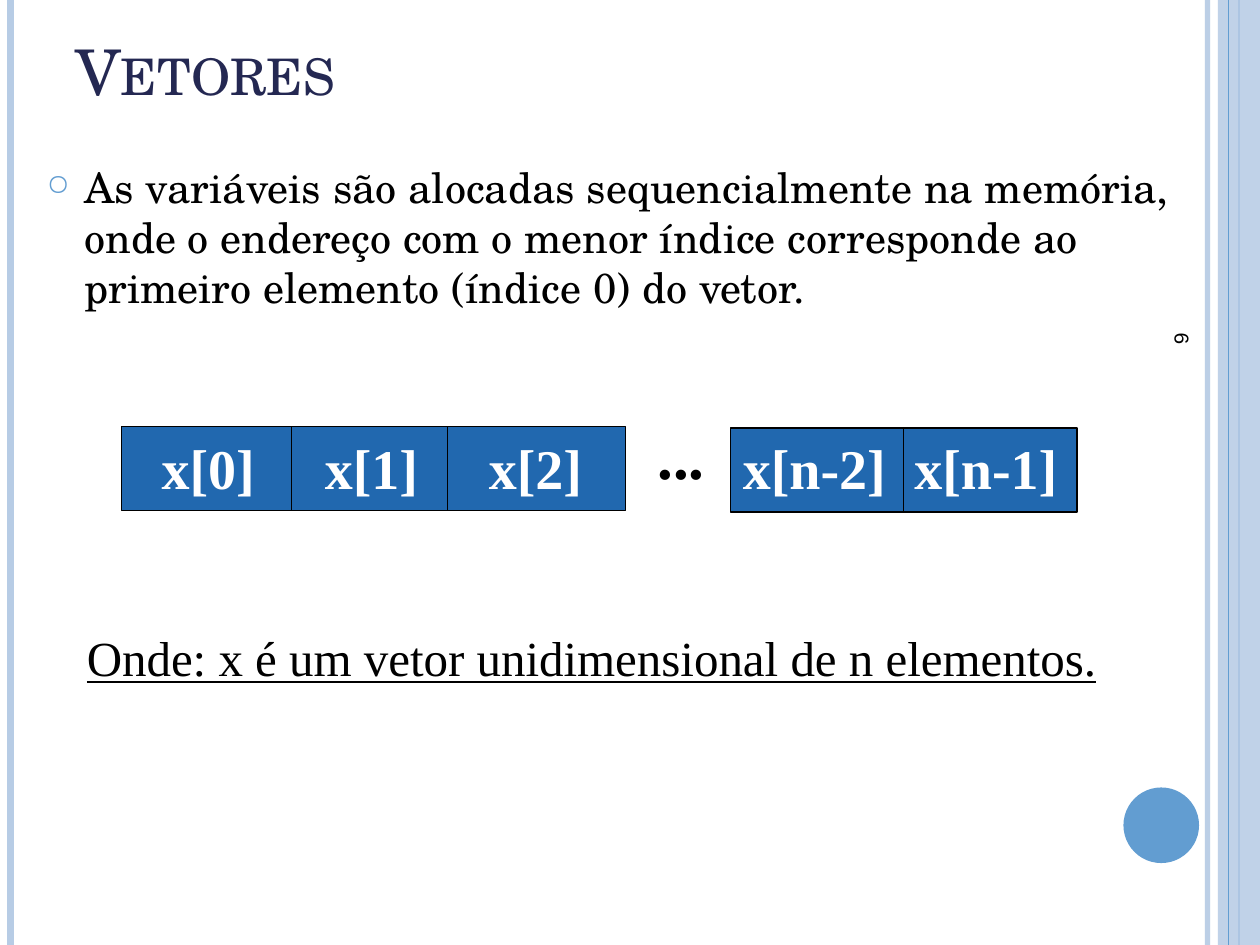
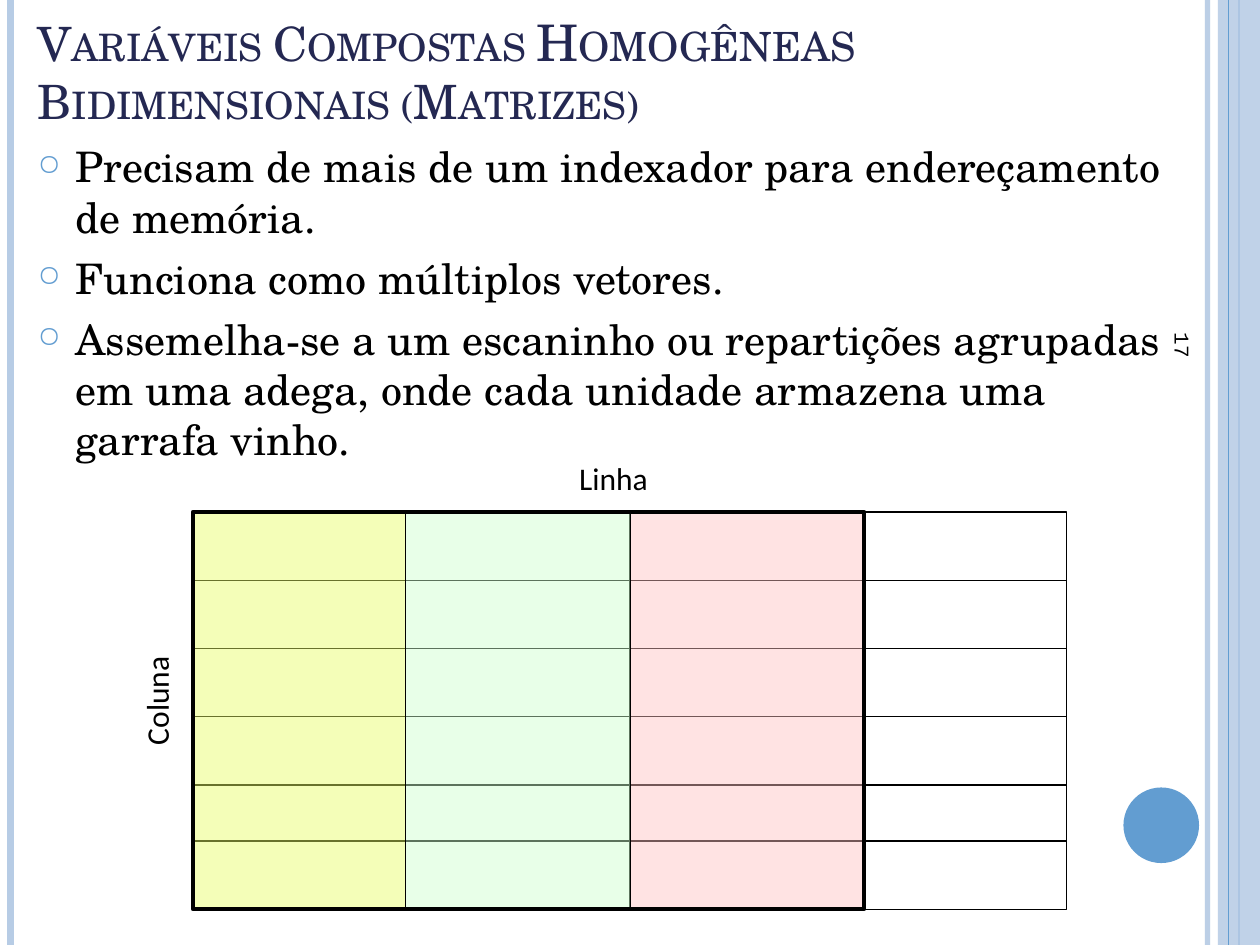
from dataclasses import dataclass
from itertools import accumulate

from lxml import etree
from pptx import Presentation
from pptx.dml.color import RGBColor
from pptx.enum.shapes import MSO_CONNECTOR, MSO_SHAPE
from pptx.enum.text import MSO_ANCHOR, PP_ALIGN
from pptx.oxml.ns import qn
from pptx.util import Pt

RECT, OVAL = MSO_SHAPE.RECTANGLE, MSO_SHAPE.OVAL
STRAIGHT = MSO_CONNECTOR.STRAIGHT
TOP, MIDDLE, BOTTOM = MSO_ANCHOR.TOP, MSO_ANCHOR.MIDDLE, MSO_ANCHOR.BOTTOM
LEFT, CENTER = PP_ALIGN.LEFT, PP_ALIGN.CENTER


@dataclass(frozen=True)
class Theme:
    heading: str = "242852"
    ink: str = "000000"
    paper: str = "FFFFFF"
    accent: str = "629DD1"
    band: str = "B7CCE5"
    cell: str = "2168AF"
    serif: str = "TeX Gyre Schola"
    roman: str = "Times New Roman"
    sans: str = "Calibri"
    mono: str = "Courier New"
    body_size: float = 24
    number_size: float = 12
    label_size: float = 18
    cell_size: float = 32
    dots_size: float = 36
    remark_size: float = 28
    thin: float = 0.75
    thick: float = 2.25


THEME = Theme()
WIDTH, HEIGHT = 720, 540

VECTOR = {
    "title": [("Vetores", 36)],
    "title_box": (36, 21.6, 588, 44),
    "points": [
        "As variáveis são alocadas sequencialmente na memória, onde o endereço "
        "com o menor índice corresponde ao primeiro elemento (índice 0) do vetor.",
    ],
    "points_box": (19.5, 88.5, 669, 144),
    "number": "6",
}
VECTOR_BLOCKS = [
    {"box": (69.6, 243.7, 288, 48), "cells": ["x[0]", "x[1]", "x[2]"],
     "dividers": [96.8, 186], "inset": 22.7, "tabs": [93.3, 187]},
    {"box": (417.4, 244.6, 198, 48), "cells": ["x[n-2]", "x[n-1]"],
     "dividers": [99], "inset": 7.2, "tabs": [98]},
]
ELLIPSIS = "..."
REMARK = "Onde: x é um vetor unidimensional de n elementos."

MATRIX = {
    "title": [("Variáveis Compostas ", 27), ("Homogêneas ", 28.8),
              ("Bidimensionais (Matrizes)", 27)],
    "title_box": (14.4, 21.6, 669, 55.4),
    "points": [
        "Precisam de mais de um indexador para endereçamento de memória.",
        "Funciona como múltiplos vetores.",
        "Assemelha-se a um escaninho ou repartições agrupadas em uma adega, "
        "onde cada unidade armazena uma garrafa vinho.",
    ],
    "points_box": (14.4, 77, 675, 199),
    "number": "17",
}
GRID_LEFT, GRID_TOP = 110.2, 292.6
COLUMN_WIDTHS = [121.7, 128.2, 133.9, 115.4]
ROW_HEIGHTS = [39, 39, 39, 39, 32, 39]
COLUMN_TINTS = ["E7FD63", "CCFFCC", "FFC1C1"]
ROW_LABEL, COLUMN_LABEL = "Linha", "Coluna"


def rgb(code):
    return RGBColor.from_string(code)


def set_alpha(fill_owner, percent):
    color = next(fill_owner.iter(qn("a:srgbClr")))
    etree.SubElement(color, qn("a:alpha")).set("val", str(percent * 1000))


def add_block(slide, box, fill=None, line=None, weight=THEME.thin, alpha=None, kind=RECT):
    block = slide.shapes.add_shape(kind, *map(Pt, box))
    block.shadow.inherit = False
    if fill:
        block.fill.solid()
        block.fill.fore_color.rgb = rgb(fill)
        if alpha:
            set_alpha(block._element.spPr, alpha)
    else:
        block.fill.background()
    if line:
        block.line.color.rgb = rgb(line)
        block.line.width = Pt(weight)
    else:
        block.line.fill.background()
    return block


def add_line(slide, start, end, color=THEME.ink, weight=THEME.thin, alpha=None):
    line = slide.shapes.add_connector(STRAIGHT, *map(Pt, (*start, *end)))
    line.line.color.rgb = rgb(color)
    line.line.width = Pt(weight)
    if alpha:
        set_alpha(line._element.spPr, alpha)
    etree.SubElement(line._element.spPr, qn("a:effectLst"))
    return line


def add_divider(slide, block, box, offset):
    left, top, width, height = box
    x = left + offset
    divider = add_line(slide, (x, top), (x, top + height))
    if abs(offset - width / 2) < 1:
        divider.begin_connect(block, 0)
        divider.end_connect(block, 2)


def add_text(slide, box, paragraphs, font, color=THEME.ink, anchor=TOP, align=LEFT,
             before=0, bold=False, underline=False, small_caps=False):
    text_box = slide.shapes.add_textbox(*map(Pt, box))
    frame = text_box.text_frame
    frame.word_wrap = True
    frame.vertical_anchor = anchor
    for index, runs in enumerate(paragraphs):
        paragraph = frame.add_paragraph() if index else frame.paragraphs[0]
        paragraph.alignment = align
        paragraph.space_before = Pt(before)
        for words, size in runs:
            run = paragraph.add_run()
            run.text = words
            run.font.name = font
            run.font.size = Pt(size)
            run.font.bold = bold
            run.font.underline = underline
            run.font.color.rgb = rgb(color)
            if small_caps:
                run._r.get_or_add_rPr().set("cap", "small")
    return text_box


def add_bullet(paragraph):
    properties = paragraph._p.get_or_add_pPr()
    properties.set("marL", str(Pt(21.6)))
    properties.set("indent", str(-Pt(21.6)))
    color = etree.SubElement(properties, qn("a:buClr"))
    etree.SubElement(color, qn("a:srgbClr")).set("val", THEME.accent)
    etree.SubElement(properties, qn("a:buSzPct")).set("val", "70000")
    etree.SubElement(properties, qn("a:buChar")).set("char", "○")


def add_tabs(paragraph, positions):
    stops = etree.SubElement(paragraph._p.get_or_add_pPr(), qn("a:tabLst"))
    for position in positions:
        stop = etree.SubElement(stops, qn("a:tab"))
        stop.set("pos", str(Pt(position)))
        stop.set("algn", "l")


def add_rule(slide, x, color, weight, alpha=None):
    add_line(slide, (x, 0), (x, HEIGHT), color, weight, alpha)


def add_page(deck, content):
    slide = deck.slides.add_slide(deck.slide_layouts[6])
    slide.background.fill.solid()
    slide.background.fill.fore_color.rgb = rgb(THEME.paper)
    add_rule(slide, 690, THEME.band, 3, 93)
    add_rule(slide, 6, THEME.band, 4.5)
    add_rule(slide, 708, THEME.accent, 1.5)
    add_block(slide, (696, 0, 24, HEIGHT), THEME.band, alpha=87)
    add_rule(slide, 702, THEME.accent, 0.75)
    add_block(slide, (642, 450, 43.2, 43.2), THEME.accent, kind=OVAL)

    points = add_text(slide, content["points_box"],
                      [[(point, THEME.body_size)] for point in content["points"]],
                      THEME.serif, before=6)
    for paragraph in points.text_frame.paragraphs:
        add_bullet(paragraph)
    number = add_text(slide, (550, 294.5, 252, 28.8),
                      [[(content["number"], THEME.number_size)]], THEME.mono, anchor=MIDDLE)
    number.rotation = 90
    add_text(slide, content["title_box"], [content["title"]], THEME.serif,
             THEME.heading, BOTTOM, small_caps=True)
    return slide


def build_vector(deck):
    slide = add_page(deck, VECTOR)
    for part in VECTOR_BLOCKS:
        left, top, width, height = part["box"]
        block = add_block(slide, part["box"], THEME.cell, THEME.ink)
        labels = add_text(slide, (left, 244, width + 10, 45.4),
                          [[("\t".join(part["cells"]), THEME.cell_size)]],
                          THEME.roman, THEME.paper, before=3.5, bold=True)
        labels.text_frame.margin_left = Pt(part["inset"])
        add_tabs(labels.text_frame.paragraphs[0], part["tabs"])
        for offset in part["dividers"]:
            add_divider(slide, block, part["box"], offset)
    add_text(slide, (368.6, 234.7, 60, 50.4), [[(ELLIPSIS, THEME.dots_size)]],
             THEME.roman, before=3.5, bold=True)
    add_text(slide, (42.5, 355, 610.6, 41), [[(REMARK, THEME.remark_size)]],
             THEME.roman, before=3.5, underline=True)


def build_matrix(deck):
    slide = add_page(deck, MATRIX)
    height = sum(ROW_HEIGHTS)
    box = (GRID_LEFT, GRID_TOP, sum(COLUMN_WIDTHS), height)
    right = GRID_LEFT + box[2]
    offsets = [0, *accumulate(COLUMN_WIDTHS)]
    grid = add_block(slide, box, line=THEME.ink)
    for offset in accumulate(ROW_HEIGHTS[:-1]):
        y = GRID_TOP + offset
        add_line(slide, (GRID_LEFT, y), (right, y))
    for offset in offsets[1:-1]:
        add_divider(slide, grid, box, offset)
    for offset, width, tint in zip(offsets, COLUMN_WIDTHS, COLUMN_TINTS):
        add_block(slide, (GRID_LEFT + offset, GRID_TOP, width, height),
                  tint, THEME.ink, alpha=45)
    add_block(slide, (GRID_LEFT, GRID_TOP, offsets[len(COLUMN_TINTS)], height),
              line=THEME.ink, weight=THEME.thick)
    add_text(slide, (218, 258.5, 265, 29), [[(ROW_LABEL, THEME.label_size)]],
             THEME.sans, align=CENTER)
    column_label = add_text(slide, (75, 315.4, 58.3, 170),
                            [[(COLUMN_LABEL, THEME.label_size)]], THEME.sans, align=CENTER)
    column_label.text_frame._txBody.bodyPr.set("vert", "vert270")


def main():
    deck = Presentation()
    deck.slide_width, deck.slide_height = Pt(WIDTH), Pt(HEIGHT)
    build_vector(deck)
    build_matrix(deck)
    deck.save("out.pptx")


if __name__ == "__main__":
    main()
